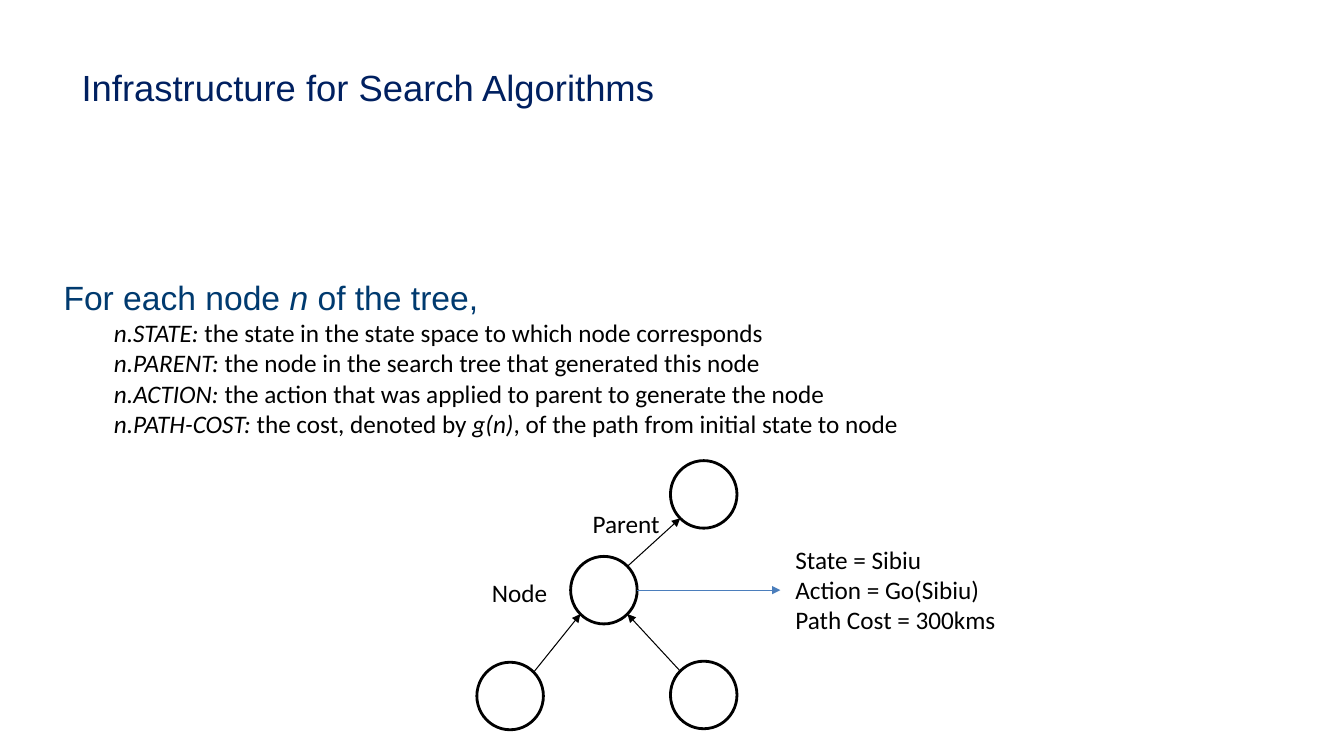
from lxml.etree import SubElement
from pptx import Presentation
from pptx.dml.color import RGBColor
from pptx.enum.shapes import MSO_CONNECTOR as CONN, MSO_SHAPE as SHAPE
from pptx.enum.text import MSO_ANCHOR as ANCHOR, MSO_AUTO_SIZE as AUTO, PP_ALIGN as ALIGN
from pptx.oxml.ns import qn
from pptx.util import Pt

PX = 9144  # EMU per px, 100 px to the inch
NAVY = RGBColor(0x00, 0x20, 0x60)
TEAL = RGBColor(0x00, 0x3A, 0x6F)
BLUE = RGBColor(0x4B, 0x7E, 0xBC)
BLACK = RGBColor(0, 0, 0)

TITLE = "Infrastructure for Search Algorithms"
# Runs alternate between upright and italic, starting upright.
HEADING = ["For each node ", "n", " of the tree,"]
FIELDS = [
    ["", "n.STATE: ", "the state in the state space to which node corresponds"],
    ["", "n.PARENT: ", "the node in the search tree that generated this node"],
    ["", "n.ACTION: ", "the action that was applied to parent to generate the node"],
    ["", "n.PATH-COST: ", "the cost, denoted by ", "g(n)",
     ", of the path from initial state to node"],
]
LABELS = [  # lines, box, wraps
    (["Parent"], (578, 499, 87, 40), False),
    (["Node"], (478, 568, 76, 40), False),
    (["State = Sibiu", "Action = Go(Sibiu)", "Path Cost = 300kms"],
     (779, 535, 271, 131), True),
]
NODE_W, NODE_H = 66, 67
NODES = {"parent": (665, 457), "node": (566, 552), "left": (473, 657), "right": (665, 656)}
EDGES = [("node", "parent"), ("left", "node"), ("right", "node")]
INFO_X = 774


def place(sp, box):
    sp.left, sp.top, sp.width, sp.height = [v * PX for v in box]


def add_runs(p, texts, size, font, color):
    for i, text in enumerate(texts):
        if text:
            r = p.add_run()
            r.text = text
            r.font.size, r.font.name, r.font.italic = Pt(size), font, i % 2 == 1
            r.font.color.rgb = color


def prepare_placeholder(sp, box):
    place(sp, box)
    tf = sp.text_frame
    tf.margin_left = tf.margin_right = tf.margin_top = tf.margin_bottom = 0
    tf.vertical_anchor, tf.auto_size = ANCHOR.TOP, AUTO.NONE
    return tf


def format_paragraph(p, indent=0):
    p.alignment, p.space_before = ALIGN.LEFT, Pt(0)
    pPr = p._p.get_or_add_pPr()
    pPr.set("marL", str(indent * PX))
    pPr.set("indent", "0")
    SubElement(pPr, qn("a:buNone"))


def add_arrow(start, end, color):
    x1, y1, x2, y2 = [round(v * PX) for v in (*start, *end)]
    line = s.shapes.add_connector(CONN.STRAIGHT, x1, y1, x2, y2)
    line.line.color.rgb, line.line.width = color, Pt(0.75)
    SubElement(line.line._get_or_add_ln(), qn("a:tailEnd"), type="triangle")
    SubElement(line._element.spPr, qn("a:effectLst"))


def center(name):
    x, y = NODES[name]
    return x + NODE_W / 2, y + NODE_H / 2


def rim(name, toward):
    """Diagonal point on a node's circle, on the side facing another node."""
    (x, y), (tx, ty) = center(name), center(toward)
    k = 0.5 ** 0.5 / 2
    return (x + k * NODE_W * (1 if tx > x else -1),
            y + k * NODE_H * (1 if ty > y else -1))


prs = Presentation()
prs.slide_width, prs.slide_height = 1333 * PX, 750 * PX
s = prs.slides.add_slide(prs.slide_layouts[1])

tf = prepare_placeholder(s.shapes.title, (81, 65, 1172, 68))
format_paragraph(tf.paragraphs[0])
add_runs(tf.paragraphs[0], [TITLE], 26, "Arial", NAVY)

tf = prepare_placeholder(s.placeholders[1], (63, 275, 1016, 185))
format_paragraph(tf.paragraphs[0])
add_runs(tf.paragraphs[0], HEADING, 24, "Arial", TEAL)
for field in FIELDS:
    p = tf.add_paragraph()
    p.level = 1
    format_paragraph(p, 50)
    add_runs(p, field, 18, "Calibri", BLACK)

for x, y in NODES.values():
    sp = s.shapes.add_shape(SHAPE.OVAL, x * PX, y * PX, NODE_W * PX, NODE_H * PX)
    sp.shadow.inherit = False
    sp.fill.background()
    sp.line.color.rgb, sp.line.width = BLACK, Pt(2)

for child, parent in EDGES:
    add_arrow(rim(child, parent), rim(parent, child), BLACK)

for lines, box, wraps in LABELS:
    tf = s.shapes.add_textbox(*[v * PX for v in box]).text_frame
    tf.word_wrap = wraps
    for i, text in enumerate(lines):
        p = tf.add_paragraph() if i else tf.paragraphs[0]
        add_runs(p, [text], 18, "Calibri", BLACK)

x, y = center("node")
add_arrow((x + NODE_W / 2, y), (INFO_X, y), BLUE)

prs.save("out.pptx")
